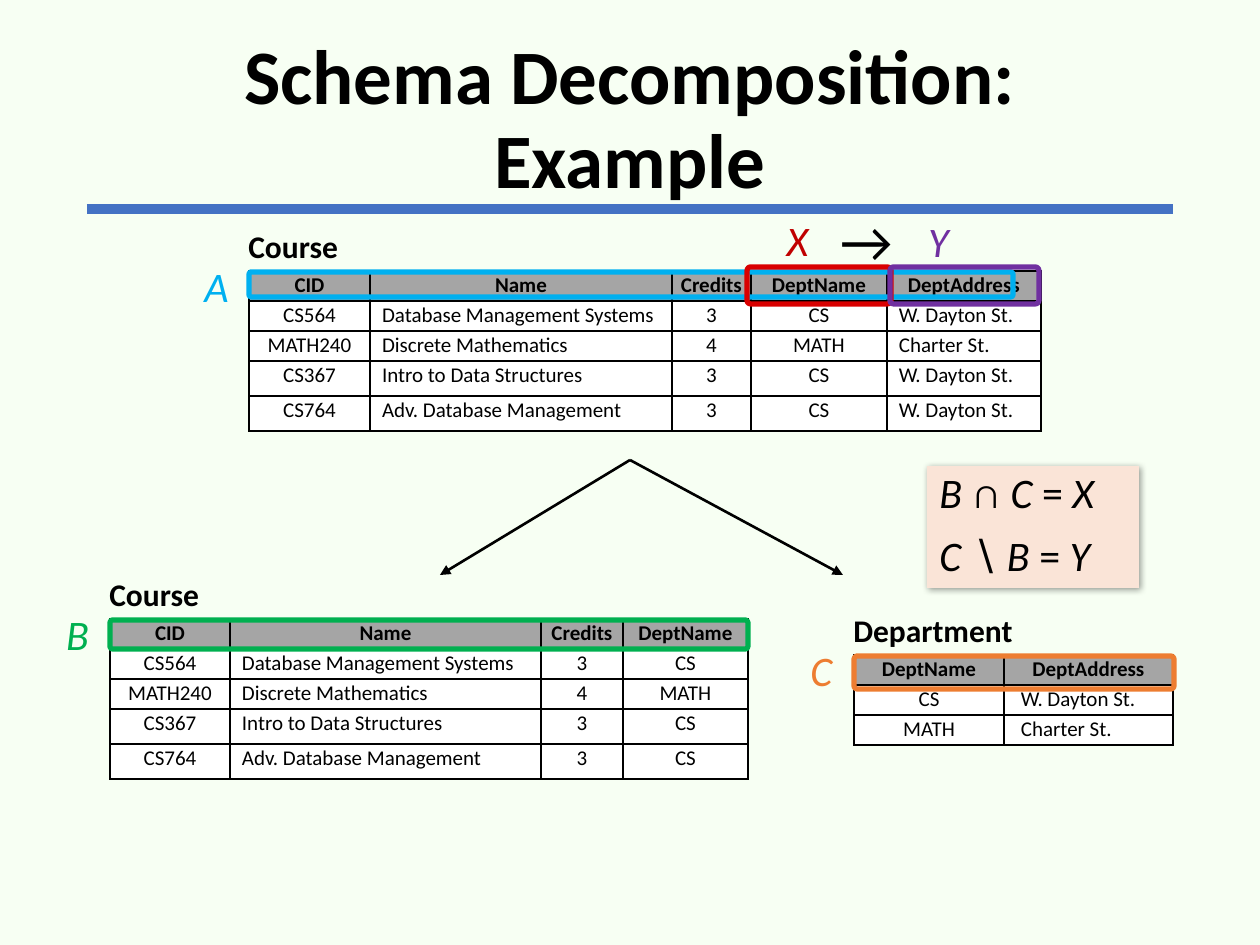
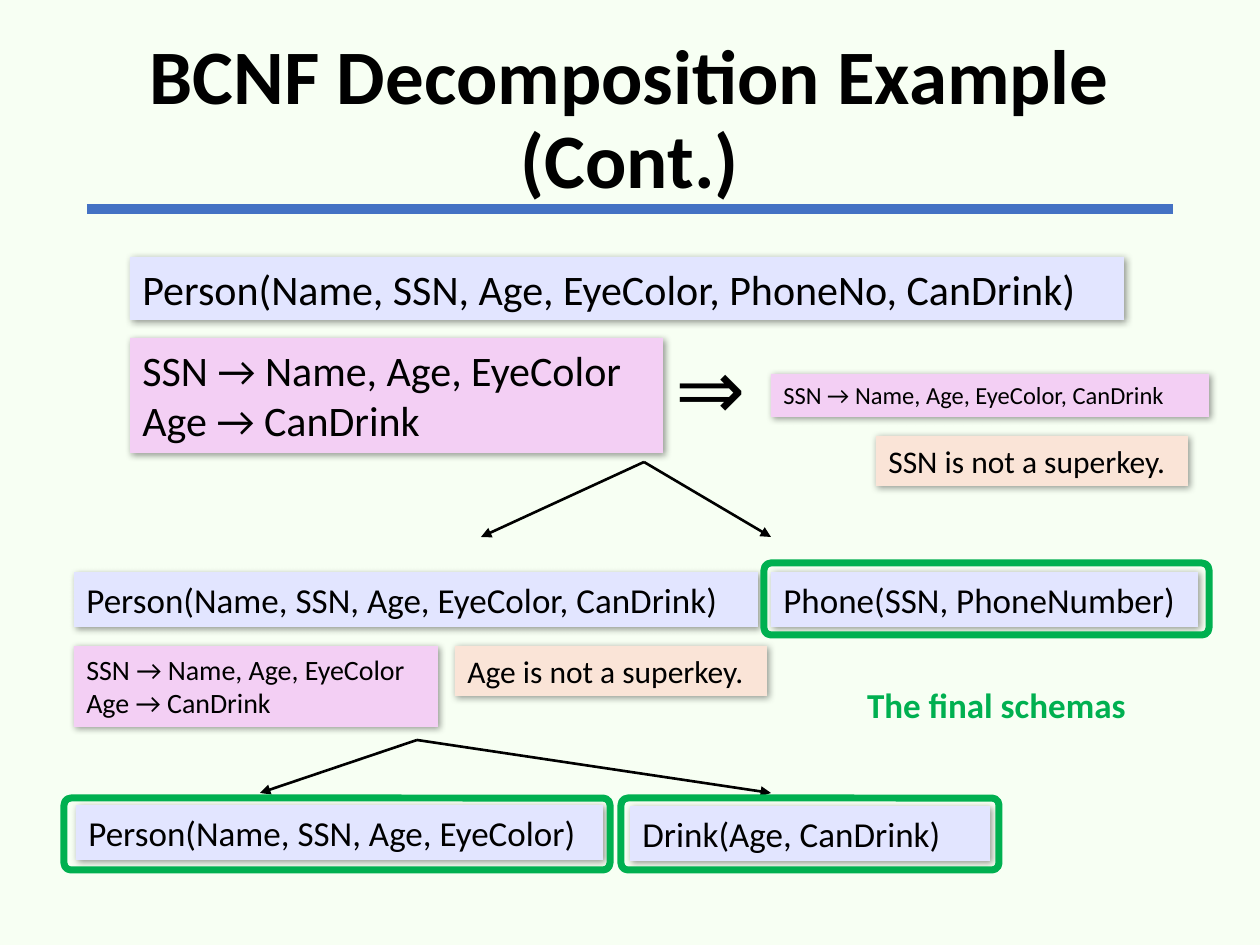
from lxml import etree
from pptx import Presentation
from pptx.dml.color import RGBColor
from pptx.enum.shapes import MSO_CONNECTOR, MSO_SHAPE
from pptx.enum.text import MSO_ANCHOR, MSO_AUTO_SIZE, PP_ALIGN
from pptx.oxml import parse_xml
from pptx.oxml.ns import nsdecls, qn
from pptx.util import Pt

LINE = MSO_CONNECTOR.STRAIGHT
ROUND = MSO_SHAPE.ROUNDED_RECTANGLE
LEFT, CENTER = PP_ALIGN.LEFT, PP_ALIGN.CENTER
MIDDLE = MSO_ANCHOR.MIDDLE
FIXED = MSO_AUTO_SIZE.NONE

SCALE = 914400 / 126
FONT = "Calibri"
PAPER, BAR, HEAD = "F7FFF3", "4472C4", "A5A5A5"
BLACK, WHITE = "000000", "FFFFFF"
LILAC, PINK, PEACH = "E2E5FF", "F3CFF4", "FAE4D7"
BLUE, GREEN, ORANGE = "00B0F0", "00B050", "ED7D31"
RED, CRIMSON, PURPLE = "D90000", "C00000", "7030A0"

COURSES = [
    ["CID", "Name", "Credits", "DeptName", "DeptAddress"],
    ["CS564", "Database Management Systems", "3", "CS", "W. Dayton St."],
    ["MATH240", "Discrete Mathematics", "4", "MATH", "Charter St."],
    ["CS367", "Intro to Data Structures", "3", "CS", "W. Dayton St."],
    ["CS764", "Adv. Database Management", "3", "CS", "W. Dayton St."],
]
HEIGHTS = [30, 30, 30, 35, 35]
LEFTIES = ("Name", "DeptAddress")


def px(num):
    return round(num * SCALE)


def place(box):
    return [px(num) for num in box]


def color(code):
    return RGBColor.from_string(code)


def style(para, size, code=BLACK, bold=False, italic=None, align=LEFT):
    para.alignment = align
    font = para.font
    font.name, font.size, font.bold = FONT, Pt(size), bold
    font.italic = italic
    font.color.rgb = color(code)


def label(slide, box, text, size, code=BLACK, **looks):
    shape = slide.shapes.add_textbox(*place(box))
    frame = shape.text_frame
    frame.word_wrap = True
    frame.text = text
    for para in frame.paragraphs:
        style(para, size, code, **looks)
    return shape


def card(slide, box, text, size, fill):
    shape = label(slide, box, text, size)
    shape.fill.solid()
    shape.fill.fore_color.rgb = color(fill)
    shape.element.spPr.append(parse_xml(
        f'<a:effectLst {nsdecls("a")}><a:outerShdw blurRad="50800" dist="12700" '
        'dir="2700000" algn="tl" rotWithShape="0"><a:srgbClr val="000000">'
        '<a:alpha val="40000"/></a:srgbClr></a:outerShdw></a:effectLst>'))
    return shape


def ring(slide, box, code, width=3):
    shape = slide.shapes.add_shape(ROUND, *place(box))
    shape.adjustments[0] = 0.097
    shape.shadow.inherit = False
    shape.fill.background()
    shape.line.color.rgb = color(code)
    shape.line.width = Pt(width)


def stroke(slide, start, end, code, width):
    line = slide.shapes.add_connector(LINE, *place(start + end))
    line.line.color.rgb = color(code)
    line.line.width = Pt(width)
    etree.SubElement(line.element.spPr, qn("a:effectLst"))
    return line


def fork(slide, start, *ends):
    for end in ends:
        line = stroke(slide, start, end, BLACK, 1.5)
        etree.SubElement(line.line._get_or_add_ln(), qn("a:tailEnd"), type="triangle")


def letter(slide, left, top, text, code):
    shape = label(slide, (left, top, 65, 57), text, 24, code, italic=True, align=CENTER)
    shape.text_frame.paragraphs[0].line_spacing = 0.9


def border(cell):
    props = cell._tc.get_or_add_tcPr()
    for spot, side in enumerate("LRTB"):
        props.insert(spot, parse_xml(
            f'<a:ln{side} {nsdecls("a")} w="12700"><a:solidFill>'
            f'<a:srgbClr val="{BLACK}"/></a:solidFill></a:ln{side}>'))


def fill_cell(cell, text, head, left, indent):
    cell.margin_left = cell.margin_right = px(2)
    cell.margin_top = cell.margin_bottom = px(2)
    cell.text = text
    para = cell.text_frame.paragraphs[0]
    if left:
        para._p.get_or_add_pPr().set("marL", str(px(indent)))
    style(para, 12, bold=head, align=LEFT if left else CENTER)
    cell.fill.solid()
    cell.fill.fore_color.rgb = color(HEAD if head else WHITE)
    border(cell)


def grid(slide, left, top, widths, rows, indent):
    box = (left, top, sum(widths), sum(HEIGHTS[:len(rows)]))
    table = slide.shapes.add_table(len(rows), len(widths), *place(box)).table
    for col, width in zip(table.columns, widths):
        col.width = px(width)
    for r, row in enumerate(rows):
        table.rows[r].height = px(HEIGHTS[r])
        for c, text in enumerate(row):
            side = r > 0 and rows[0][c] in LEFTIES
            fill_cell(table.cell(r, c), text, r == 0, side, indent)


def schema(slide, box, name, mark, code, widths, rows, indent=10):
    left, top, width, height = box
    grid(slide, left, top, widths, rows, indent)
    label(slide, (left - 13, top - 50, 200, 50), name, 18, bold=True)
    letter(slide, left - 65, top - 11, mark, code)
    ring(slide, (left, top + 1, width, height), code)


def rules(slide, box, lines):
    shape = card(slide, box, "", 24, PEACH)
    frame = shape.text_frame
    for i, text in enumerate(lines):
        para = frame.add_paragraph() if i else frame.paragraphs[0]
        para.line_spacing = 0.9
        if i:
            para.space_before = Pt(10)
        style(para, 24)
        words = text.split()
        for n, word in enumerate(words, 1):
            run = para.add_run()
            run.text = word if n == len(words) else word + " "
            run.font.italic = word.isalpha()


def page(deck, text):
    slide = deck.slides.add_slide(deck.slide_layouts[5])
    stroke(slide, (87, 209), (1173, 209), BAR, 6)
    title = slide.shapes.title
    title.left, title.top, title.width, title.height = place((87, 30, 1086, 183))
    frame = title.text_frame
    frame.text = text
    frame.auto_size = FIXED
    frame.vertical_anchor = MIDDLE
    para = frame.paragraphs[0]
    para.line_spacing = 0.9
    style(para, 44, bold=True, align=CENTER)
    return slide


def schemas(deck):
    slide = page(deck, "Schema Decomposition: Example")
    schema(slide, (249, 271, 764, 25), "Course", "A", BLUE,
           [121, 302, 79, 136, 154], COURSES)
    schema(slide, (110, 619, 638, 29), "Course", "B", GREEN,
           [120, 311, 82, 125], [row[:4] for row in COURSES])
    schema(slide, (854, 655, 320, 33), "Department", "C", ORANGE,
           [150, 169], [row[3:] for row in COURSES[:3]], 15)
    fork(slide, (630, 460), (440, 575), (843, 575))
    letter(slide, 765, 214, "X", CRIMSON)
    ring(slide, (747, 267, 144, 37), RED)
    letter(slide, 906, 215, "Y", PURPLE)
    ring(slide, (890, 267, 149, 37), PURPLE)
    label(slide, (828, 199, 106, 83), "→", 33)
    rules(slide, (927, 466, 212, 122), ["B ∩ C = X", "C ∖ B = Y"])


def split(deck):
    slide = page(deck, "BCNF Decomposition Example (Cont.)")
    needs = "SSN → Name, Age, EyeColor\nAge → CanDrink"
    for box, text, size, fill in [
        ((130, 257, 994, 63), "Person(Name, SSN, Age, EyeColor, PhoneNo, CanDrink)", 24, LILAC),
        ((771, 572, 427, 55), "Phone(SSN, PhoneNumber)", 20, LILAC),
        ((74, 572, 684, 55), "Person(Name, SSN, Age, EyeColor, CanDrink)", 20, LILAC),
        ((130, 338, 533, 115), needs, 24, PINK),
        ((74, 646, 364, 81), needs, 16, PINK),
        ((771, 374, 438, 43), "SSN → Name, Age, EyeColor, CanDrink", 14, PINK),
        ((76, 805, 527, 55), "Person(Name, SSN, Age, EyeColor)", 20, LILAC),
        ((630, 806, 360, 55), "Drink(Age, CanDrink)", 20, LILAC),
        ((876, 436, 312, 50), "SSN is not a superkey.", 18, PEACH),
        ((455, 646, 312, 50), "Age is not a superkey.", 18, PEACH),
    ]:
        card(slide, box, text, size, fill)
    label(slide, (663, 329, 137, 115), "⇒", 48)
    fork(slide, (644, 462), (481, 537), (771, 537))
    fork(slide, (417, 740), (260, 793), (771, 793))
    final = label(slide, (820, 682, 353, 68), "The final schemas", 20, GREEN,
                  bold=True, align=CENTER)
    final.text_frame.paragraphs[0].line_spacing = 0.9
    for left, top, width in [(64, 798, 546), (621, 798, 378), (764, 563, 445)]:
        ring(slide, (left, top, width, 72), GREEN, 4)


def main():
    deck = Presentation()
    deck.slide_width, deck.slide_height = px(1260), px(945)
    back = deck.slide_master.background.fill
    back.solid()
    back.fore_color.rgb = color(PAPER)
    schemas(deck)
    split(deck)
    deck.save("out.pptx")


if __name__ == "__main__":
    main()
